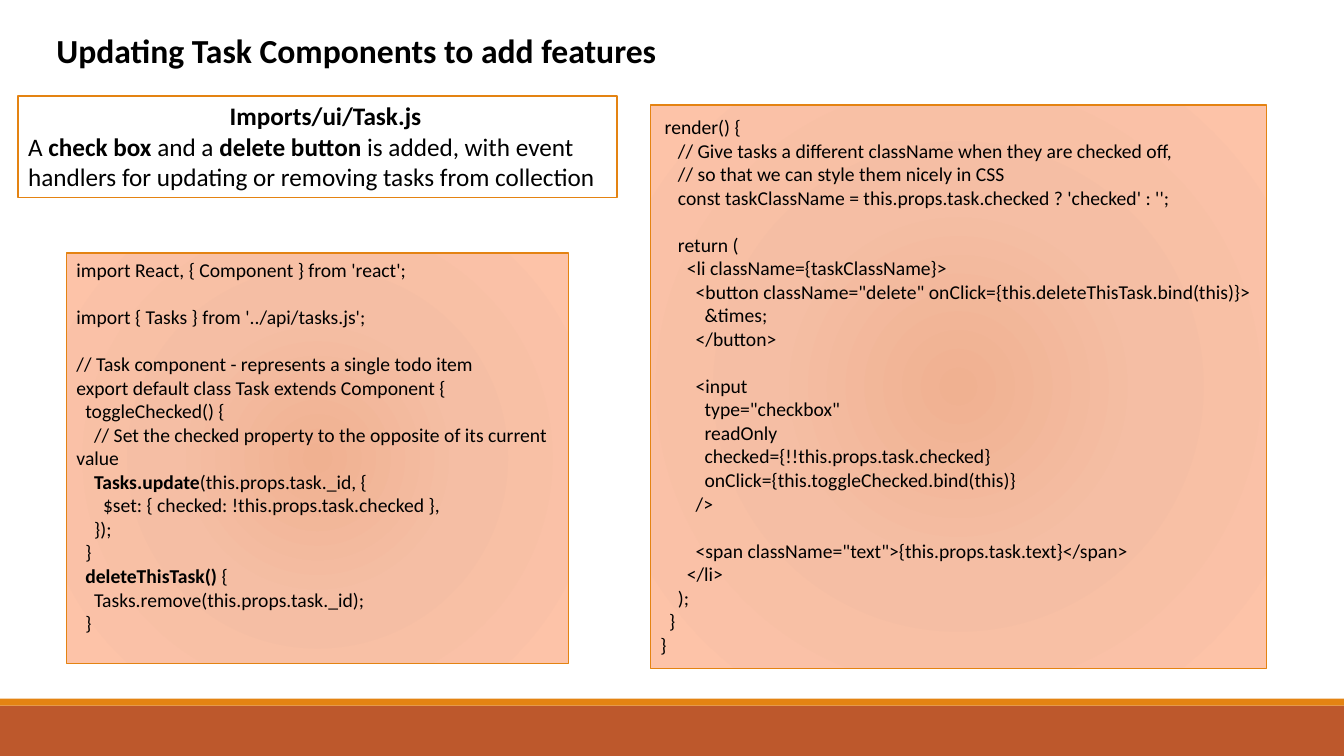
from dataclasses import dataclass

from lxml import etree
from pptx import Presentation
from pptx.dml.color import RGBColor
from pptx.enum.shapes import MSO_SHAPE as Shape
from pptx.enum.text import MSO_ANCHOR as Anchor, PP_ALIGN as Align
from pptx.oxml.ns import qn
from pptx.util import Inches, Pt


@dataclass(frozen=True)
class Theme:
    font: str = "Calibri"
    ink: str = "000000"
    paper: str = "FFFFFF"
    accent: str = "E48312"
    footer: str = "BD582C"
    glow: tuple = ((0, "F0B191"), (45, "F5BEA4"), (100, "FDC3A8"))
    title: float = 24
    body: float = 18
    code: float = 14
    code_line: float = 16.8  # height of one code line, points
    code_space: float = 3.16  # width of one space, points


@dataclass(frozen=True)
class Box:
    """Left, top, width and height in percent of the slide."""
    x: float
    y: float
    w: float
    h: float


@dataclass(frozen=True)
class CodePanel:
    box: Box
    top_inset: float
    code: str


T = Theme()
WIDTH, HEIGHT = Inches(13.33), Inches(7.5)

TITLE = Box(3.45, 3.33, 77.8, 6.67)
CALLOUT = Box(1.35, 12.67, 44.56, 13.47)
BANDS = ((Box(0, 93.33, 100, 6.67), T.footer), (Box(0, 92.4, 100, 0.93), T.accent))

# Double asterisks switch bold on and off
PANELS = (
    CodePanel(Box(4.95, 33.47, 37.36, 54.27), 0.05, """\
import React, { Component } from 'react';

import { Tasks } from '../api/tasks.js';

// Task component - represents a single todo item
export default class Task extends Component {
  toggleChecked() {
    // Set the checked property to the opposite of its current value
    **Tasks.update**(this.props.task._id, {
      $set: { checked: !this.props.task.checked },
    });
  }
  **deleteThisTask() **{
    Tasks.remove(this.props.task._id);
  }"""),
    CodePanel(Box(48.39, 13.87, 45.84, 74.53), 0.1, """\
 render() {
    // Give tasks a different className when they are checked off,
    // so that we can style them nicely in CSS
    const taskClassName = this.props.task.checked ? 'checked' : '';

    return (
      <li className={taskClassName}>
        <button className="delete" onClick={this.deleteThisTask.bind(this)}>
          &times;
        </button>

        <input
          type="checkbox"
          readOnly
          checked={!!this.props.task.checked}
          onClick={this.toggleChecked.bind(this)}
        />

        <span className="text">{this.props.task.text}</span>
      </li>
    );
  }
}"""),
)


def place(box: Box) -> tuple[int, int, int, int]:
    return (int(WIDTH * box.x / 100), int(HEIGHT * box.y / 100),
            int(WIDTH * box.w / 100), int(HEIGHT * box.h / 100))


def add_box(s, box: Box, fill: str, line: float = 0):
    sp = s.shapes.add_shape(Shape.RECTANGLE, *place(box))
    sp.shadow.inherit = False
    sp.fill.solid()
    sp.fill.fore_color.rgb = RGBColor.from_string(fill)
    if line:
        sp.line.color.rgb = RGBColor.from_string(T.accent)
        sp.line.width = Pt(line)
    else:
        sp.line.fill.background()
    return sp


def fill_glow(sp) -> None:
    """Replace the solid fill with a radial gradient."""
    solid = sp._element.spPr.find(qn("a:solidFill"))
    grad = etree.Element(qn("a:gradFill"), rotWithShape="1")
    stops = etree.SubElement(grad, qn("a:gsLst"))
    for pos, color in T.glow:
        gs = etree.SubElement(stops, qn("a:gs"), pos=str(pos * 1000))
        etree.SubElement(gs, qn("a:srgbClr"), val=color)
    circle = etree.SubElement(grad, qn("a:path"), path="circle")
    etree.SubElement(circle, qn("a:fillToRect"), {side: "100000" for side in "ltrb"})
    solid.getparent().replace(solid, grad)


def setup_frame(tf, top: float = 0.05) -> None:
    tf.word_wrap = True
    tf.vertical_anchor = Anchor.TOP
    tf.margin_left = tf.margin_right = Inches(0.1)
    tf.margin_top, tf.margin_bottom = Inches(top), Inches(0.05)


def write(p, text: str, size: float, indent: int = 0) -> None:
    """Write one paragraph, with its first line indented."""
    p.alignment = Align.LEFT
    if indent:
        pPr = p._p.get_or_add_pPr()
        pPr.set("marL", "0")
        pPr.set("indent", str(int(indent)))
    for i, part in enumerate(text.split("**")):
        if part:
            r = p.add_run()
            r.text = part
            r.font.name, r.font.size, r.font.bold = T.font, Pt(size), i % 2 == 1
            r.font.color.rgb = RGBColor.from_string(T.ink)


def add_code(s, panel: CodePanel) -> None:
    sp = add_box(s, panel.box, T.paper, 1)
    fill_glow(sp)
    tf = sp.text_frame
    setup_frame(tf, panel.top_inset)
    p, gap = tf.paragraphs[0], 0
    for i, line in enumerate(panel.code.splitlines()):
        text = line.lstrip()
        if not text:
            gap += T.code_line
            continue
        if i:
            p = tf.add_paragraph()
        p.space_before = Pt(gap)
        write(p, text, T.code, Pt(T.code_space * (len(line) - len(text))))
        gap = 0


def main() -> None:
    prs = Presentation()
    prs.slide_width, prs.slide_height = WIDTH, HEIGHT
    s = prs.slides.add_slide(prs.slide_layouts[5])

    # Footer bands
    for box, color in BANDS:
        add_box(s, box, color)

    # Title
    title = s.shapes.title
    title.left, title.top, title.width, title.height = place(TITLE)
    setup_frame(title.text_frame)
    write(title.text_frame.paragraphs[0],
          "**Updating Task Components to add features**", T.title)

    # Code panels
    for panel in PANELS:
        add_code(s, panel)

    # File callout
    tf = add_box(s, CALLOUT, T.paper, 1.25).text_frame
    setup_frame(tf)
    write(tf.paragraphs[0], "**Imports/ui/Task.js**", T.body, Inches(2))
    write(tf.add_paragraph(),
          "A **check box **and a **delete button **is added, with event handlers "
          "for updating or removing tasks from collection", T.body)

    prs.save("out.pptx")


if __name__ == "__main__":
    main()
